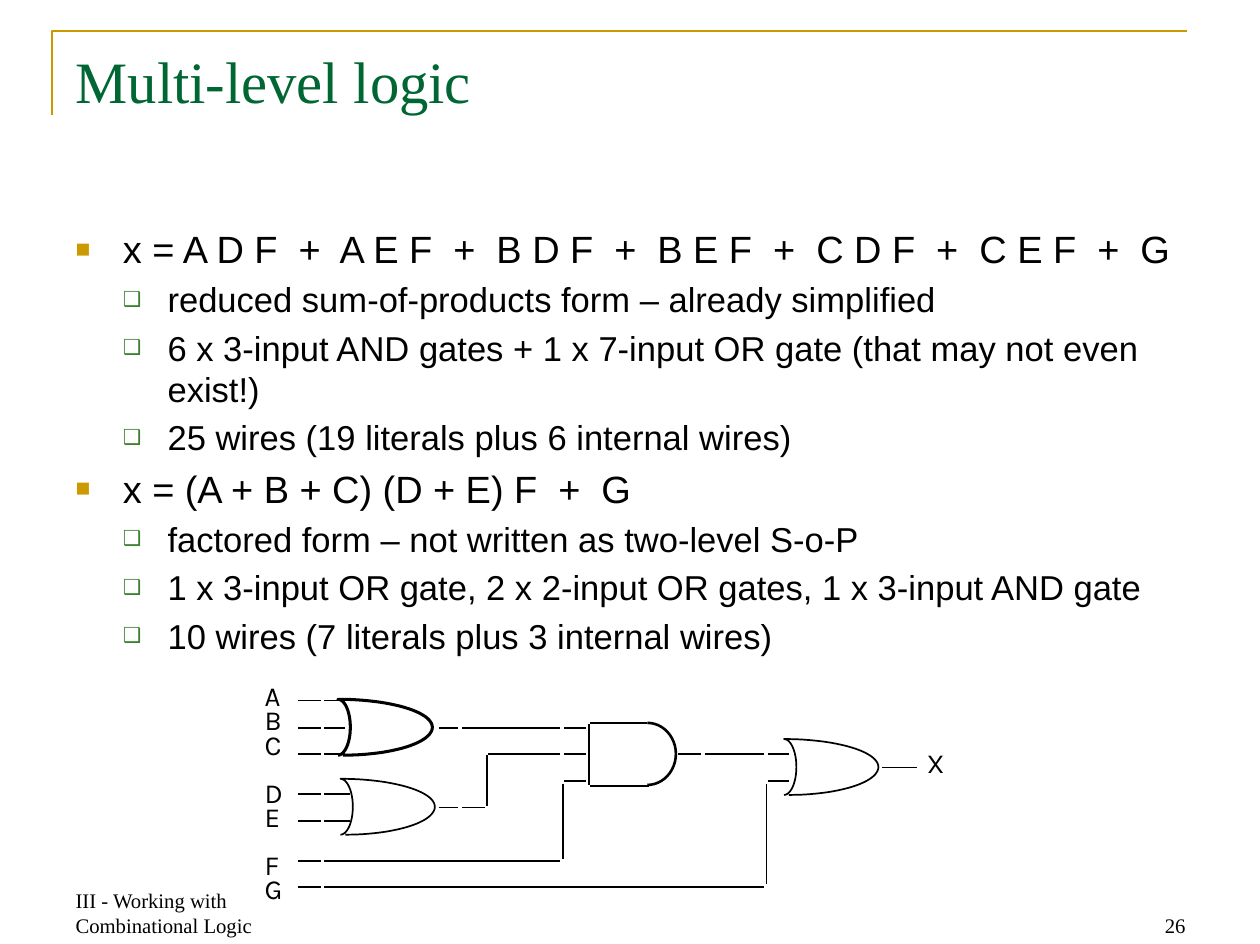
"""Builds the multi-level logic slide with its gate diagram."""
import math
import pptx
import pptx.util
import pptx.dml.color
import pptx.enum.shapes
import pptx.enum.text
import pptx.oxml
import pptx.oxml.ns

PX = 9144
SERIF = "Times New Roman"
Pt = pptx.util.Pt
Align = pptx.enum.text.PP_ALIGN
Anchor = pptx.enum.text.MSO_ANCHOR
NS = pptx.oxml.ns.nsdecls("a")


def tint(color, code):
    color.rgb = pptx.dml.color.RGBColor.from_string(code)


def write(shape, box, lines, face, size, code="000000", inset=(10, 5)):
    shape.left, shape.top, shape.width, shape.height = [n * PX for n in box]
    frame = shape.text_frame
    frame.text = "\n".join(lines)
    frame.word_wrap = True
    frame.auto_size = pptx.enum.text.MSO_AUTO_SIZE.NONE
    frame.vertical_anchor = Anchor.TOP
    frame.margin_left = frame.margin_right = inset[0] * PX
    frame.margin_top = frame.margin_bottom = inset[1] * PX
    for para in frame.paragraphs:
        para.alignment = Align.LEFT
        for run in para.runs:
            run.font.name = face
            run.font.size = Pt(size)
            tint(run.font.color, code)
    return frame


deck = pptx.Presentation()
deck.slide_width, deck.slide_height = 1014 * PX, 760 * PX
slide = deck.slides.add_slide(deck.slide_layouts[5])
shapes = slide.shapes

write(shapes.title, (51, 31, 912, 126), ["Multi-level logic"], SERIF, 34, "006633")

notes = [
    (0, "x = A D F  +  A E F  +  B D F  +  B E F  +  C D F  +  C E F  +  G"),
    (1, "reduced sum-of-products form – already simplified"),
    (1, "6 x 3-input AND gates + 1 x 7-input OR gate (that may not even exist!)"),
    (1, "25 wires (19 literals plus 6 internal wires)"),
    (0, "x = (A + B + C) (D + E) F  +  G"),
    (1, "factored form – not written as two-level S-o-P"),
    (1, "1 x 3-input OR gate, 2 x 2-input OR gates, 1 x 3-input AND gate"),
    (1, "10 wires (7 literals plus 3 internal wires)"),
]
levels = [(38, 38, "CC9900", 65, "■", 22), (74, 36, "3B812F", 60, "❑", 20)]
body = write(shapes.add_textbox(0, 0, 0, 0), (51, 177, 912, 502),
             [text for _, text in notes], "Arial", 20)
for num, (para, (level, _)) in enumerate(zip(body.paragraphs, notes)):
    left, hang, code, scale, mark, size = levels[level]
    props = para._p.get_or_add_pPr()
    props.set("marL", str(left * PX))
    props.set("indent", str(-hang * PX))
    for part in (f'<a:buClr {NS}><a:srgbClr val="{code}"/></a:buClr>',
                 f'<a:buSzPct {NS} val="{scale}000"/>',
                 f'<a:buFont {NS} typeface="Arial"/>',
                 f'<a:buChar {NS} char="{mark}"/>'):
        props.append(pptx.oxml.parse_xml(part))
    para.level = level
    para.space_before = Pt(size / 5 if num else 0)
    para.runs[0].font.size = Pt(size)

feet = [(51, "III - Working with Combinational Logic", Align.LEFT),
        (727, "26", Align.RIGHT)]
for left, text, side in feet:
    foot = write(shapes.add_textbox(0, 0, 0, 0), (left, 709, 237, 51), [text], SERIF, 12)
    foot.vertical_anchor = Anchor.BOTTOM
    foot.paragraphs[0].alignment = side

tags = [((211, 551, 36, 179), "ABCDEFG", 14), ((744, 603, 64, 38), "X", 15)]
for box, names, pitch in tags:
    tag = write(shapes.add_textbox(0, 0, 0, 0), box, names, "Karla", 16, inset=(2, 3))
    tag.word_wrap = False
    for para in tag.paragraphs:
        para.line_spacing = Pt(pitch)
        if para.text in "DF":
            para.space_before = Pt(pitch)

curves = [(1.5, [(521, 607, 23, 25, -90, 90)])]
for left, top, width in [(272, 563, 1.75), (274, 627, 1), (631, 595, 1)]:
    mid, half = top + 22.5, 22.5
    curves.append((width, [(left + 4, mid, 72, half, 90, 0),
                           (left, mid, 76, half, 0, -90),
                           (left, mid, 10, half, -90, 90)]))
paths = [("CC9900", 1.5, [(42, 93), (42, 25), (955, 25)])]
for width, arcs in curves:
    dots = []
    for x, y, wide, high, start, end in arcs:
        for step in range(25):
            turn = math.radians(start + (end - start) * step / 24)
            dots.append((x + wide * math.cos(turn), y + high * math.sin(turn)))
    paths.append(("000000", width, dots))
for code, width, dots in paths:
    dots = [(x * PX, y * PX) for x, y in dots]
    pen = shapes.build_freeform(*dots[0])
    pen.add_line_segments(dots[1:], close=False)
    curve = pen.convert_to_shape()
    curve.shadow.inherit = False
    curve.fill.background()
    curve.line.width = Pt(width)
    tint(curve.line.color, code)

rows = [
    (564, [(240, 258), (261, 278)]),
    (586, [(240, 258), (261, 278), (353, 369), (372, 451), (454, 472)]),
    (607, [(240, 258), (261, 278), (393, 451), (454, 472),
           (546, 564), (567, 615), (618, 635)]),
    (639, [(240, 258), (261, 282)]),
    (661, [(240, 258), (261, 282)]),
    (650, [(353, 369), (372, 390)]),
    (629, [(454, 472), (618, 635)]),
    (693, [(240, 258), (261, 451)]),
    (714, [(240, 258), (261, 615)]),
    (618, [(710, 738)]),
    (582, [(475, 521)]),
    (633, [(475, 522)]),
]
wires = [(start, y, end, y) for y, spans in rows for start, end in spans]
for x, top, end in [(392, 608, 649), (453, 631, 692), (474, 583, 632), (617, 631, 712)]:
    wires.append((x, top, x, end))
for ends in wires:
    wire = shapes.add_connector(pptx.enum.shapes.MSO_CONNECTOR.STRAIGHT,
                                *[n * PX for n in ends])
    wire.line.width = Pt(1)
    tint(wire.line.color, "000000")
    wire._element.spPr.append(pptx.oxml.parse_xml(f"<a:effectLst {NS}/>"))

deck.save("out.pptx")
